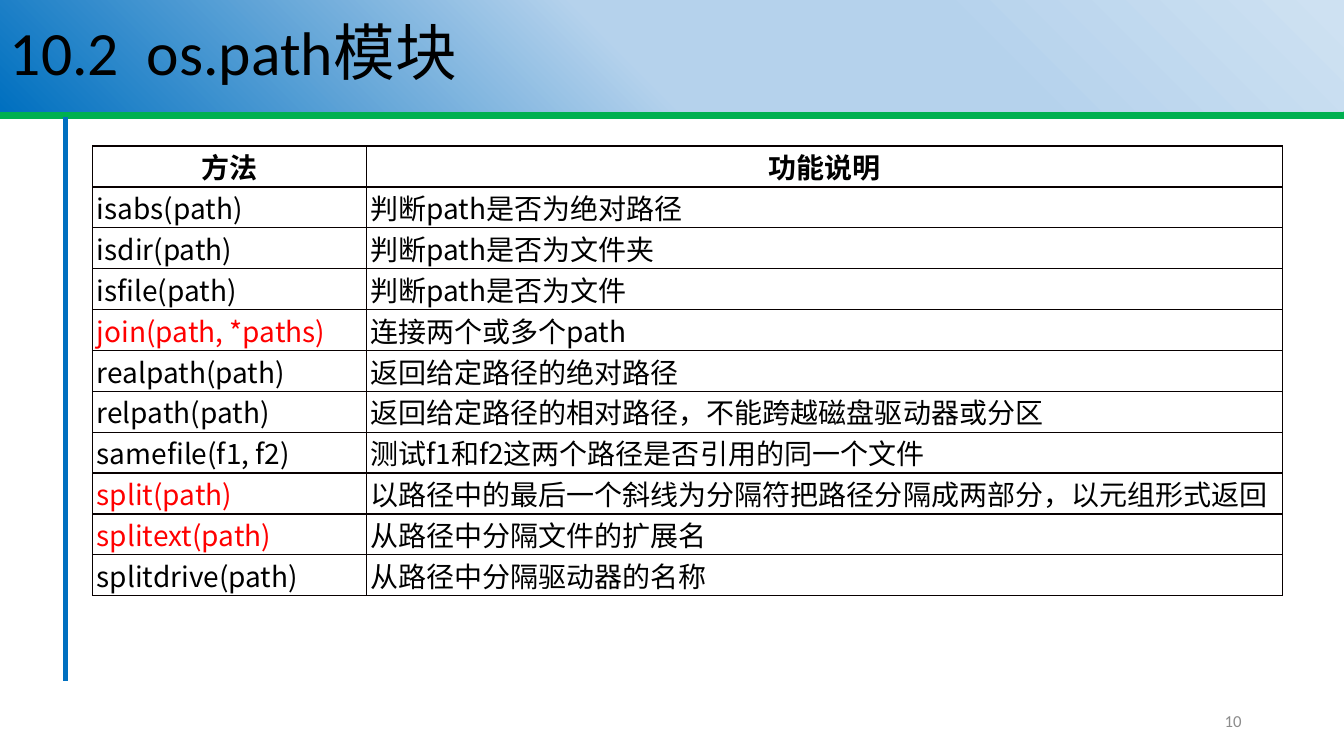
from lxml.etree import SubElement
from pptx import Presentation
from pptx.dml.color import RGBColor
from pptx.enum.shapes import MSO_CONNECTOR, MSO_SHAPE
from pptx.enum.text import MSO_ANCHOR, PP_ALIGN
from pptx.oxml import parse_xml
from pptx.oxml.ns import nsdecls, qn
from pptx.util import Cm, Pt

BLACK = RGBColor(0x00, 0x00, 0x00)
RED = RGBColor(0xFF, 0x00, 0x00)
GRAY = RGBColor(0x8C, 0x8C, 0x8C)
GREEN = RGBColor(0x00, 0xB0, 0x50)
BLUE = RGBColor(0x00, 0x70, 0xC0)
SKY = RGBColor(0xB5, 0xD2, 0xEC)
PALE = RGBColor(0xCE, 0xE1, 0xF2)
BORDER = RGBColor(0x08, 0x00, 0x00)

HEADER = ("方法", "功能说明")
METHODS = [
    ("isabs(path)", "判断path是否为绝对路径"),
    ("isdir(path)", "判断path是否为文件夹"),
    ("isfile(path)", "判断path是否为文件"),
    ("join(path, *paths)", "连接两个或多个path"),
    ("realpath(path)", "返回给定路径的绝对路径"),
    ("relpath(path)", "返回给定路径的相对路径，不能跨越磁盘驱动器或分区"),
    ("samefile(f1, f2)", "测试f1和f2这两个路径是否引用的同一个文件"),
    ("split(path)", "以路径中的最后一个斜线为分隔符把路径分隔成两部分，以元组形式返回"),
    ("splitext(path)", "从路径中分隔文件的扩展名"),
    ("splitdrive(path)", "从路径中分隔驱动器的名称"),
]
HIGHLIGHTED = {"join(path, *paths)", "split(path)", "splitext(path)"}


def style(paragraph, name, size, color, align=PP_ALIGN.LEFT):
    paragraph.alignment = align
    paragraph.font.name = name
    paragraph.font.size = Pt(size)
    paragraph.font.color.rgb = color


def set_borders(cell):
    properties = cell._tc.get_or_add_tcPr()
    for index, side in enumerate(("lnL", "lnR", "lnT", "lnB")):
        properties.insert(index, parse_xml(
            f'<a:{side} {nsdecls("a")} w="{Pt(1)}"><a:solidFill>'
            f'<a:srgbClr val="{BORDER}"/></a:solidFill></a:{side}>'))


prs = Presentation()
prs.slide_width, prs.slide_height = Cm(33.87), Cm(19.05)
slide = prs.slides.add_slide(prs.slide_layouts[6])
shapes = slide.shapes

for x1, y1, x2, y2, color, width in (
    (0, 2.9, 33.87, 2.9, GREEN, 5.25),
    (1.65, 2.95, 1.65, 17.17, BLUE, 3.75),
):
    rule = shapes.add_connector(MSO_CONNECTOR.STRAIGHT, Cm(x1), Cm(y1), Cm(x2), Cm(y2))
    rule.line.color.rgb = color
    rule.line.width = Pt(width)
    SubElement(rule._element.spPr, qn("a:effectLst"))

title = shapes.add_shape(MSO_SHAPE.RECTANGLE, 0, 0, Cm(33.87), Cm(2.8))
title.shadow.inherit = False
title.line.fill.background()
title.fill.gradient()
title.fill.gradient_angle = 225
stops = title._element.spPr.find(qn("a:gradFill")).find(qn("a:gsLst"))
stops.clear()
for percent, color in ((1, PALE), (29, SKY), (53, SKY), (100, BLUE)):
    stop = SubElement(stops, qn("a:gs"), pos=str(percent * 1000))
    SubElement(stop, qn("a:srgbClr"), val=str(color))
title.text_frame.word_wrap = True
title.text_frame.vertical_anchor = MSO_ANCHOR.MIDDLE
heading = title.text_frame.paragraphs[0]
heading.text = "10.2  os.path模块"
heading.line_spacing = 0.9
style(heading, "Calibri", 44, BLACK)

page = shapes.add_textbox(Cm(23.92), Cm(17.66), Cm(7.62), Cm(1.01)).text_frame
page.word_wrap = True
page.vertical_anchor = MSO_ANCHOR.MIDDLE
page.text = "10"
style(page.paragraphs[0], "Calibri", 12, GRAY, PP_ALIGN.RIGHT)

rows = [HEADER, *METHODS]
row_height = Cm(1.03)
methods = shapes.add_table(len(rows), 2, Cm(2.34), Cm(3.68), Cm(29.98), row_height * len(rows)).table
methods.first_row = methods.horz_banding = False
methods.columns[0].width, methods.columns[1].width = Cm(6.89), Cm(23.09)
for r, texts in enumerate(rows):
    methods.rows[r].height = row_height
    for c, text in enumerate(texts):
        cell = methods.cell(r, c)
        cell.fill.background()
        set_borders(cell)
        cell.margin_left = Cm(0.1 if r else 0)
        cell.margin_right = cell.margin_top = cell.margin_bottom = 0
        cell.text = text
        entry = cell.text_frame.paragraphs[0]
        style(entry, "Noto Sans CJK SC", 20, RED if text in HIGHLIGHTED else BLACK,
              PP_ALIGN.LEFT if r else PP_ALIGN.CENTER)
        entry.font.bold = r == 0
        SubElement(entry._p.pPr.find(qn("a:defRPr")), qn("a:ea"), typeface="Noto Sans CJK SC")

prs.save("out.pptx")
